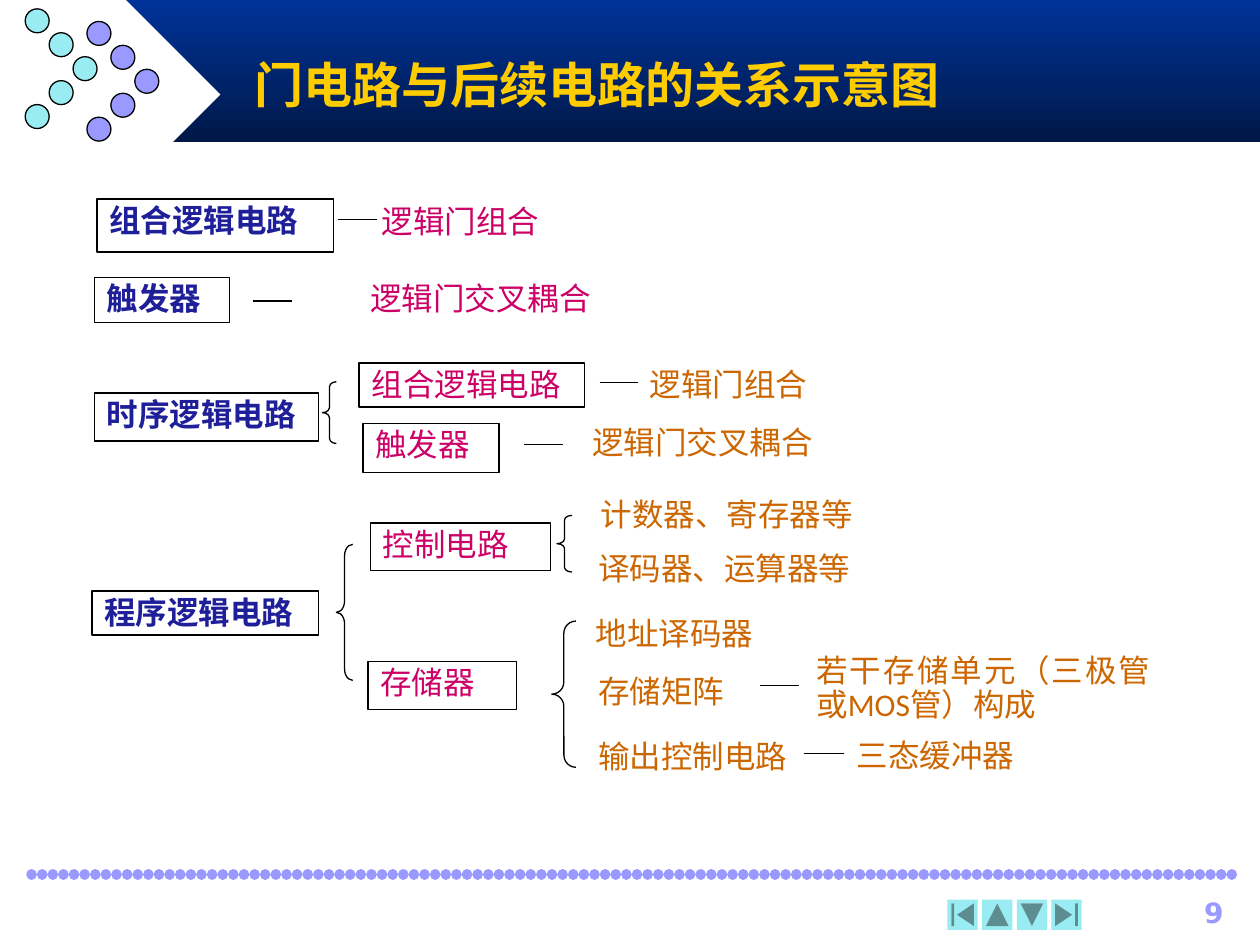
import pptx
import pptx.dml.color
import pptx.enum.shapes
import pptx.enum.text
import pptx.oxml
import pptx.oxml.ns
import pptx.util
from pptx.util import Inches, Pt

SHAPE = pptx.enum.shapes.MSO_SHAPE
ALIGN = pptx.enum.text.PP_ALIGN
ANCHOR = pptx.enum.text.MSO_ANCHOR

THEME = {
    "white": "FFFFFF", "ink": "000000",
    "banner_top": "003399", "banner_bottom": "001847",
    "violet": "9999FF", "cyan": "98ECF2", "title": "FFCC00",
    "topic": "1F1F99", "part": "CC0066", "detail": "CC6600",
    "title_font": "Arial", "body_font": "Calibri", "number_font": "DejaVu Sans",
    "title_size": 28, "body_size": 18, "number_size": 16,
    "outline": 0.75, "dots": 6,
}

TITLE = "门电路与后续电路的关系示意图"
PAGE_NUMBER = "9"

# text, level, outlined, (left, top, width, height)
LABELS = [
    ("组合逻辑电路", "topic", True, (0.77, 1.58, 1.88, 0.42)),
    ("逻辑门组合", "part", False, (2.93, 1.59, 1.49, 0.28)),
    ("触发器", "topic", True, (0.75, 2.2, 1.07, 0.36)),
    ("逻辑门交叉耦合", "part", False, (2.84, 2.2, 2.16, 0.36)),
    ("时序逻辑电路", "topic", True, (0.75, 3.12, 1.78, 0.38)),
    ("组合逻辑电路", "part", True, (2.85, 2.88, 1.79, 0.35)),
    ("触发器", "part", True, (2.88, 3.36, 1.08, 0.39)),
    ("逻辑门组合", "detail", False, (5.06, 2.88, 1.73, 0.31)),
    ("逻辑门交叉耦合", "detail", False, (4.6, 3.34, 2.05, 0.35)),
    ("程序逻辑电路", "topic", True, (0.73, 4.69, 1.8, 0.35)),
    ("控制电路", "part", True, (2.94, 4.15, 1.43, 0.38)),
    ("存储器", "part", True, (2.92, 5.25, 1.18, 0.38)),
    ("计数器、寄存器等", "detail", False, (4.67, 3.91, 2.35, 0.44)),
    ("译码器、运算器等", "detail", False, (4.65, 4.34, 2.24, 0.39)),
    ("地址译码器", "detail", False, (4.63, 4.86, 1.61, 0.35)),
    ("存储矩阵", "detail", False, (4.65, 5.32, 1.34, 0.39)),
    ("输出控制电路", "detail", False, (4.65, 5.83, 1.83, 0.32)),
    ("若干存储单元（三极管或MOS管）构成", "detail", False, (6.38, 5.15, 2.85, 0.73)),
    ("三态缓冲器", "detail", False, (6.7, 5.83, 1.57, 0.3)),
]
BRACES = [(2.56, 3.03, 0.11, 0.49), (2.67, 4.32, 0.13, 1.08),
          (4.42, 4.09, 0.12, 0.45), (4.38, 4.93, 0.19, 1.16)]
LINK_LENGTH = 0.31
# left, height on the slide, index of the label whose left side it meets
LINKS = [(2.68, 1.74, None), (2.01, 2.39, None), (4.76, 3.03, 7),
         (4.16, 3.53, None), (6.03, 5.44, None), (6.38, 5.98, 18)]

DOT_SIZE, DOT_STEP = 0.19, 0.19
DOT_COLUMNS = [0, 1, 2, 1, 0]
DOT_CHEVRONS = [("violet", 0.69, 0.17), ("cyan", 0.2, 0.07)]

BUTTON_LEFT, BUTTON_TOP, BUTTON_SIZE, BUTTON_STEP = 7.52, 7.14, 0.24, 0.275
BUTTONS = [(SHAPE.ACTION_BUTTON_BEGINNING, 0),
           (SHAPE.ACTION_BUTTON_BACK_OR_PREVIOUS, 90),
           (SHAPE.ACTION_BUTTON_FORWARD_OR_NEXT, 90),
           (SHAPE.ACTION_BUTTON_END, 0)]


def color(name):
    return pptx.dml.color.RGBColor.from_string(THEME[name])


def set_font(paragraph, kind, color_name, bold):
    font = paragraph.font
    font.name = THEME[kind + "_font"]
    font.size = Pt(THEME[kind + "_size"])
    font.bold = bold
    font.color.rgb = color(color_name)


def add_shape(slide, preset, box, fill=None, outlined=False):
    shape = slide.shapes.add_shape(preset, *map(Inches, box))
    shape.shadow.inherit = False
    if fill:
        shape.fill.solid()
        shape.fill.fore_color.rgb = color(fill)
    else:
        shape.fill.background()
    if outlined:
        shape.line.color.rgb = color("ink")
        shape.line.width = Pt(THEME["outline"])
    else:
        shape.line.fill.background()
    return shape


def add_line(slide, left, top, right, color_name, width):
    line = slide.shapes.add_connector(
        pptx.enum.shapes.MSO_CONNECTOR.STRAIGHT,
        Inches(left), Inches(top), Inches(right), Inches(top))
    line.line.color.rgb = color(color_name)
    line.line.width = Pt(THEME[width])
    pptx.oxml.ns.qn("a:effectLst")
    line._element.spPr.append(
        pptx.oxml.parse_xml(f'<a:effectLst {pptx.oxml.ns.nsdecls("a")}/>'))
    return line


def add_dotted_rule(slide):
    rule = add_line(slide, 0.25, 6.94, 9.83, "violet", "dots")
    outline = rule.line._get_or_add_ln()
    outline.set("cap", "rnd")
    outline.append(pptx.oxml.parse_xml(
        f'<a:custDash {pptx.oxml.ns.nsdecls("a")}>'
        '<a:ds d="100000" sp="1000"/></a:custDash>'))


def add_banner(slide):
    banner = add_shape(slide, SHAPE.RECTANGLE, (1, 0, 9, 1.13))
    banner.fill.gradient()
    banner.fill.gradient_angle = 270
    for stop, name in zip(banner.fill.gradient_stops, ("banner_top", "banner_bottom")):
        stop.color.rgb = color(name)
    add_shape(slide, SHAPE.DIAMOND, (0.25, 0, 1.5, 1.5), "white")
    for fill, left, top in DOT_CHEVRONS:
        for row, column in enumerate(DOT_COLUMNS):
            box = (left + column * DOT_STEP, top + row * DOT_STEP, DOT_SIZE, DOT_SIZE)
            add_shape(slide, SHAPE.OVAL, box, fill, outlined=True)


def add_footer(slide):
    add_dotted_rule(slide)
    for index, (preset, rotation) in enumerate(BUTTONS):
        box = (BUTTON_LEFT + index * BUTTON_STEP, BUTTON_TOP, BUTTON_SIZE, BUTTON_SIZE)
        add_shape(slide, preset, box, "cyan").rotation = rotation
    number = slide.shapes.add_textbox(*map(Inches, (8.86, 7.06, 0.95, 0.33)))
    number.text_frame.word_wrap = True
    paragraph = number.text_frame.paragraphs[0]
    paragraph.text = PAGE_NUMBER
    paragraph.alignment = ALIGN.RIGHT
    set_font(paragraph, "number", "violet", True)


def place_title(slide):
    title = slide.shapes.title
    title.left, title.top, title.width, title.height = map(Inches, (1.92, 0.33, 7.5, 0.67))
    title.text_frame.vertical_anchor = ANCHOR.MIDDLE
    paragraph = title.text_frame.paragraphs[0]
    paragraph.text = TITLE
    paragraph.alignment = ALIGN.LEFT
    set_font(paragraph, "title", "title", True)
    # Bring the title in front of the banner
    slide.shapes._spTree.append(title._element)


def add_label(slide, text, level, outlined, box):
    label = add_shape(slide, SHAPE.RECTANGLE, box, "white", outlined)
    label.text_frame.word_wrap = True
    label.text_frame.vertical_anchor = ANCHOR.TOP
    paragraph = label.text_frame.paragraphs[0]
    paragraph.text = text
    paragraph.alignment = ALIGN.JUSTIFY
    paragraph.line_spacing = 0.9
    set_font(paragraph, "body", level, level == "topic")
    return label


def add_diagram(slide):
    labels = [add_label(slide, *label) for label in LABELS]
    for box in BRACES:
        brace = add_shape(slide, SHAPE.LEFT_BRACE, box, outlined=True)
        brace.adjustments[0] = box[3] / 12 / box[2]
    for left, top, target in LINKS:
        link = add_line(slide, left, top, left + LINK_LENGTH, "ink", "outline")
        if target is not None:
            link.end_connect(labels[target], 1)
            link.begin_y = link.end_y


def main():
    presentation = pptx.Presentation()
    presentation.slide_width, presentation.slide_height = Inches(10), Inches(7.5)
    slide = presentation.slides.add_slide(presentation.slide_layouts[5])
    add_banner(slide)
    add_footer(slide)
    place_title(slide)
    add_diagram(slide)
    presentation.save("out.pptx")


if __name__ == "__main__":
    main()
